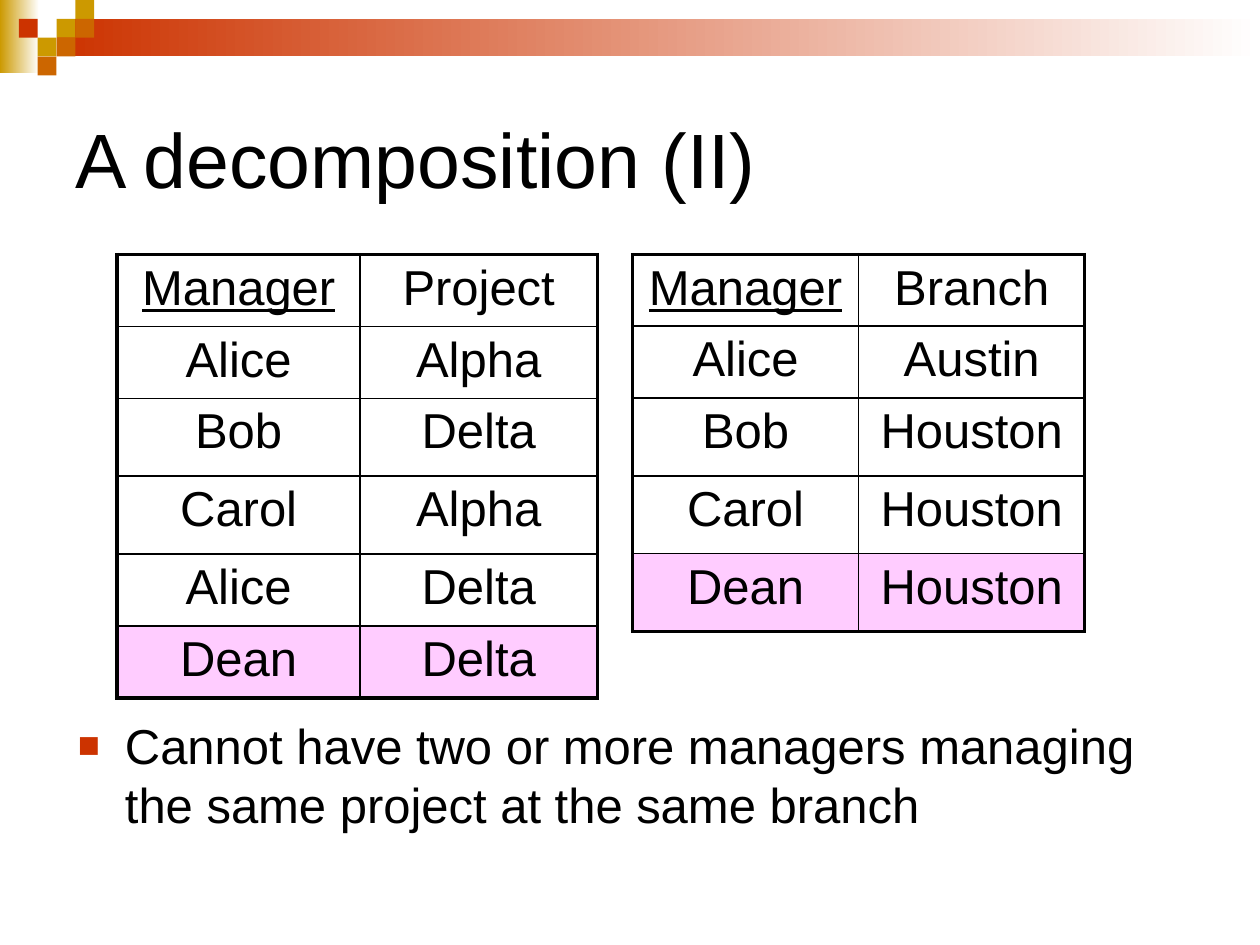
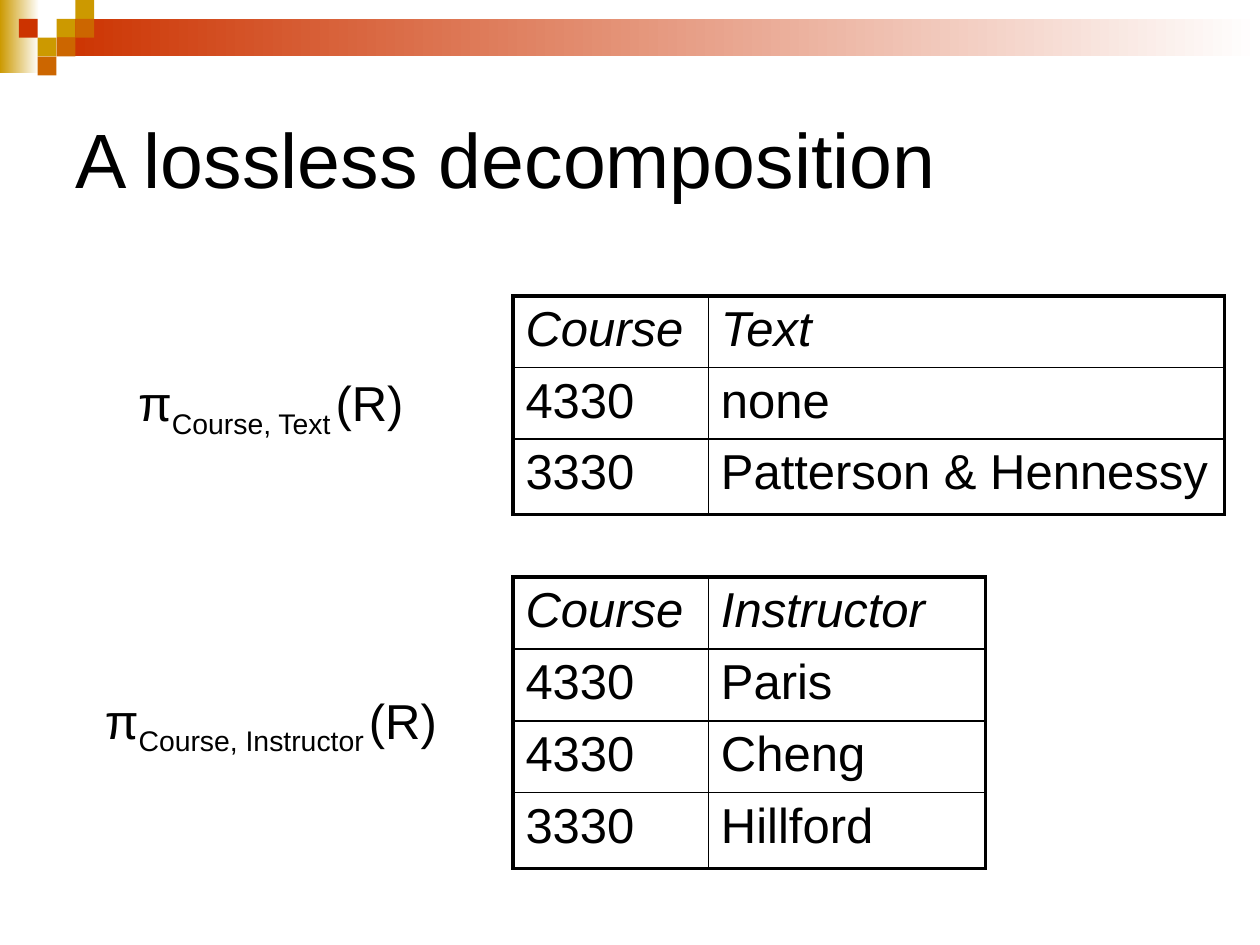
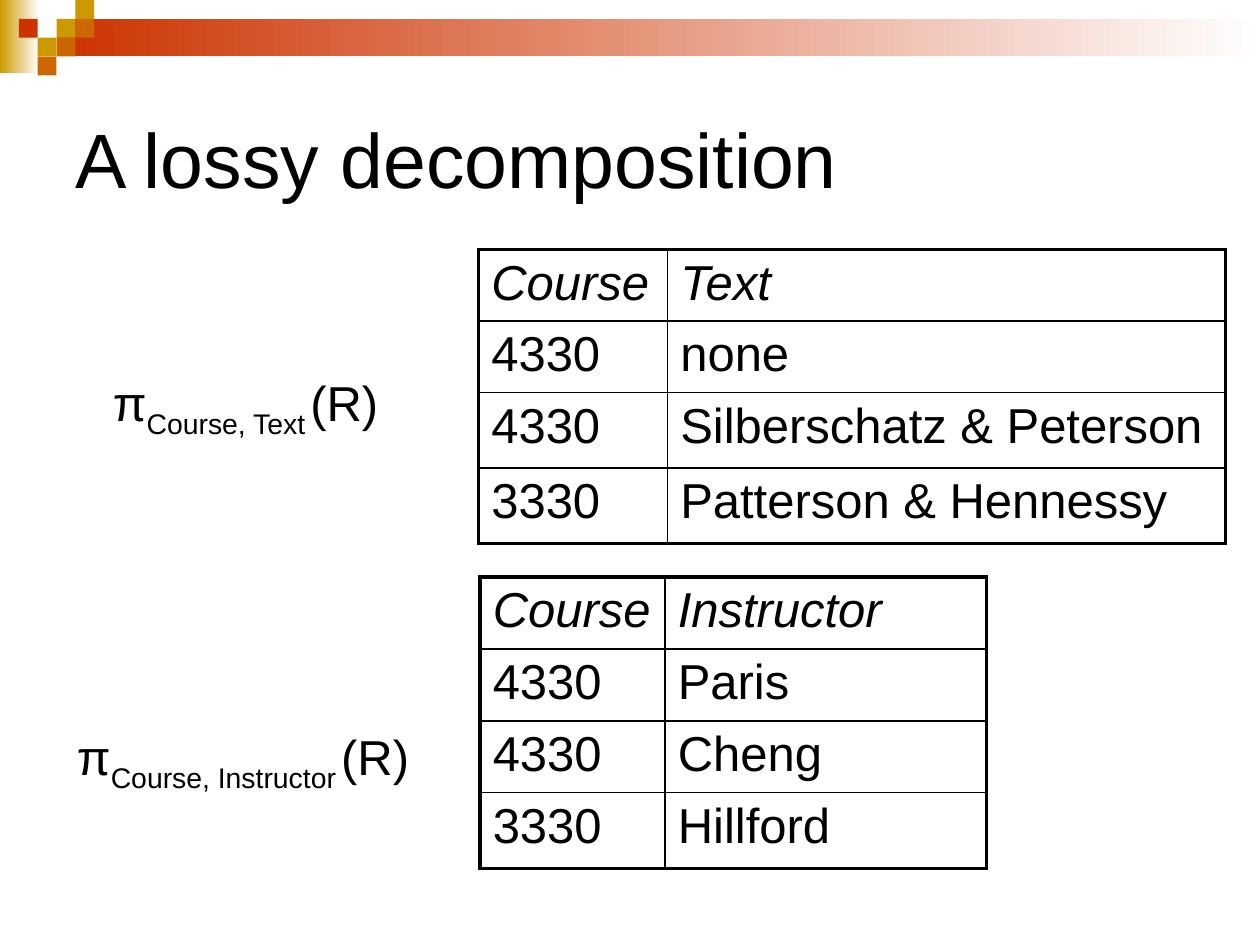
import dataclasses
import typing

import lxml.etree
import pptx
import pptx.dml.color
import pptx.enum.shapes
import pptx.enum.text
import pptx.oxml.ns
import pptx.util

Cm = pptx.util.Cm
Pt = pptx.util.Pt
Align = pptx.enum.text.PP_ALIGN
Anchor = pptx.enum.text.MSO_ANCHOR


# Theme
@dataclasses.dataclass(frozen=True)
class Theme:
    face: str = "Arial"
    ink: str = "000000"
    paper: str = "FFFFFF"
    red: str = "CC3300"
    gold: str = "CC9900"
    rust: str = "CC6600"
    pink: str = "FFCCFF"
    title: int = 44
    text: int = 28
    gap: int = 18
    thick: float = 2.25
    thin: float = 1


THEME = Theme()


# Repeated elements
class Box(typing.NamedTuple):
    left: float
    top: float
    width: float
    height: float


class Tile(typing.NamedTuple):
    col: int
    row: int
    fill: str


@dataclasses.dataclass(frozen=True)
class Grid:
    left: float
    top: float
    cols: list[float]
    highs: list[float]
    rows: list[tuple[str, str]]
    keyed: bool = False  # centred, key underlined, last row marked


@dataclasses.dataclass(frozen=True)
class Label:
    left: float
    top: float
    names: str


@dataclasses.dataclass(frozen=True)
class Page:
    title: str
    grids: list[Grid]
    labels: list[Label] = dataclasses.field(default_factory=list)
    note: str = ""


STEP = 0.38
SIDE = Box(0, 0, 0.79, 1.47)
BAND = Box(3 * STEP, STEP, 24.26, 2 * STEP)
TILES = [
    Tile(3, 1, THEME.gold),
    Tile(4, 0, THEME.gold),
    Tile(4, 1, THEME.rust),
    Tile(2, 2, THEME.gold),
    Tile(1, 1, THEME.red),
    Tile(3, 2, THEME.rust),
    Tile(2, 3, THEME.rust),
]
TITLE = Box(1.27, 1.27, 22.86, 3.81)
NOTE = Box(1.32, 14.3, 22.86, 3.71)
HANG = 0.95

# Content
STAFF = [("Course", "Instructor"), ("4330", "Paris"), ("4330", "Cheng"), ("3330", "Hillford")]
STAFF_HIGHS = [1.45, 1.45, 1.45, 1.53]

PAGES = [
    Page(
        "A decomposition (II)",
        [
            Grid(12.75, 5.13, [4.56, 4.56], [1.4, 1.45, 1.57, 1.57, 1.57],
                 [("Manager", "Branch"), ("Alice", "Austin"), ("Bob", "Houston"),
                  ("Carol", "Houston"), ("Dean", "Houston")], keyed=True),
            Grid(2.36, 5.13, [4.9, 4.78], [1.45, 1.45, 1.57, 1.57, 1.45, 1.45],
                 [("Manager", "Project"), ("Alice", "Alpha"), ("Bob", "Delta"),
                  ("Carol", "Alpha"), ("Alice", "Delta"), ("Dean", "Delta")], keyed=True),
        ],
        note="Cannot have two or more managers managing the same project at the same branch",
    ),
    Page(
        "A lossless decomposition",
        [
            Grid(10.34, 5.97, [3.94, 10.41], [1.36, 1.36, 1.52],
                 [("Course", "Text"), ("4330", "none"), ("3330", "Patterson & Hennessy")]),
            Grid(10.34, 11.63, [3.94, 5.59], STAFF_HIGHS, STAFF),
        ],
        [Label(1.27, 7.39, "Course, Text"), Label(1.27, 13.79, "Course, Instructor")],
    ),
    Page(
        "A lossy decomposition",
        [
            Grid(9.65, 5.03, [3.81, 11.25], [1.36, 1.38, 1.52, 1.52],
                 [("Course", "Text"), ("4330", "none"), ("4330", "Silberschatz & Peterson"),
                  ("3330", "Patterson & Hennessy")]),
            Grid(9.68, 11.63, [3.73, 6.48], STAFF_HIGHS, STAFF),
        ],
        [Label(0.76, 7.39, "Course, Text"), Label(0.71, 14.53, "Course, Instructor")],
    ),
]


# Helpers
def color(code: str) -> pptx.dml.color.RGBColor:
    return pptx.dml.color.RGBColor.from_string(code)


def child(node, tag: str, **attrs: str):
    return lxml.etree.SubElement(node, pptx.oxml.ns.qn(tag), attrs)


def style(para, size: int) -> None:
    para.font.name = THEME.face
    para.font.size = Pt(size)
    para.font.color.rgb = color(THEME.ink)


def block(slide, box: Box, fill: str, fade: bool = False) -> None:
    kind = pptx.enum.shapes.MSO_SHAPE.RECTANGLE
    shape = slide.shapes.add_shape(kind, *map(Cm, box))
    shape.shadow.inherit = False
    shape.line.fill.background()
    if fade:
        shape.fill.gradient()
        shape.fill.gradient_angle = 0
        for stop, code in zip(shape.fill.gradient_stops, (fill, THEME.paper)):
            stop.color.rgb = color(code)
    else:
        shape.fill.solid()
        shape.fill.fore_color.rgb = color(fill)


def frame(slide, box: Box, anchor=Anchor.TOP):
    text = slide.shapes.add_textbox(*map(Cm, box)).text_frame
    text.word_wrap = True
    text.vertical_anchor = anchor
    return text.paragraphs[0]


# Parts of a slide
def draw_band(slide) -> None:
    block(slide, SIDE, THEME.gold, fade=True)
    block(slide, BAND, THEME.red, fade=True)
    for tile in TILES:
        block(slide, Box(tile.col * STEP, tile.row * STEP, STEP, STEP), tile.fill)


def draw_title(slide, words: str) -> None:
    para = frame(slide, TITLE, Anchor.MIDDLE)
    para.text = words
    style(para, THEME.title)


def draw_note(slide, words: str) -> None:
    para = frame(slide, NOTE)
    para.text = words
    props = para._p.get_or_add_pPr()
    props.set("marL", str(Cm(HANG)))
    props.set("indent", str(-Cm(HANG)))
    child(child(props, "a:buClr"), "a:srgbClr", val=THEME.red)
    child(props, "a:buSzPct", val="75000")
    child(props, "a:buFont", typeface=THEME.face)
    child(props, "a:buChar", char="■")
    style(para, THEME.text)


def draw_label(slide, label: Label) -> None:
    para = frame(slide, Box(label.left, label.top, 8.38, 1.45))
    para.alignment = Align.CENTER
    style(para, THEME.text)
    parts = [
        ("π", THEME.text, False),
        (label.names, THEME.text, True),
        (" ", THEME.gap, True),
        ("(R)", THEME.text, False),
    ]
    for words, size, low in parts:
        run = para.add_run()
        run.text = words
        run.font.size = Pt(size)
        if low:
            run._r.get_or_add_rPr().set("baseline", "-25000")


def edge(cell, widths: dict[str, float]) -> None:
    props = cell._tc.get_or_add_tcPr()
    for spot, (side, width) in enumerate(widths.items()):
        line = child(props, f"a:ln{side}", w=str(Pt(width)))
        child(child(line, "a:solidFill"), "a:srgbClr", val=THEME.ink)
        props.insert(spot, line)


def draw_grid(slide, grid: Grid) -> None:
    tall, wide = len(grid.rows), len(grid.cols)
    box = Box(grid.left, grid.top, sum(grid.cols), sum(grid.highs))
    table = slide.shapes.add_table(tall, wide, *map(Cm, box)).table
    table.first_row = table.horz_banding = False
    for col, width in zip(table.columns, grid.cols):
        col.width = Cm(width)
    for row, high in zip(table.rows, grid.highs):
        row.height = Cm(high)
    for r, words in enumerate(grid.rows):
        for c, word in enumerate(words):
            cell = table.cell(r, c)
            para = cell.text_frame.paragraphs[0]
            para.text = word
            para.alignment = Align.CENTER if grid.keyed else Align.LEFT
            style(para, THEME.text)
            if r == 0 and not grid.keyed:
                para.font.italic = True
            if r == c == 0 and grid.keyed:
                para.font.underline = True
            if r == tall - 1 and grid.keyed:
                cell.fill.solid()
                cell.fill.fore_color.rgb = color(THEME.pink)
            else:
                cell.fill.background()
            outer = {"L": c == 0, "R": c == wide - 1, "T": r == 0, "B": r == tall - 1}
            edge(cell, {side: THEME.thick if out else THEME.thin
                        for side, out in outer.items()})


def main() -> None:
    deck = pptx.Presentation()
    deck.slide_width, deck.slide_height = Cm(25.4), Cm(19.05)
    for page in PAGES:
        slide = deck.slides.add_slide(deck.slide_layouts[6])
        draw_band(slide)
        draw_title(slide, page.title)
        if page.note:
            draw_note(slide, page.note)
        for grid in page.grids:
            draw_grid(slide, grid)
        for label in page.labels:
            draw_label(slide, label)
    deck.save("out.pptx")


if __name__ == "__main__":
    main()
